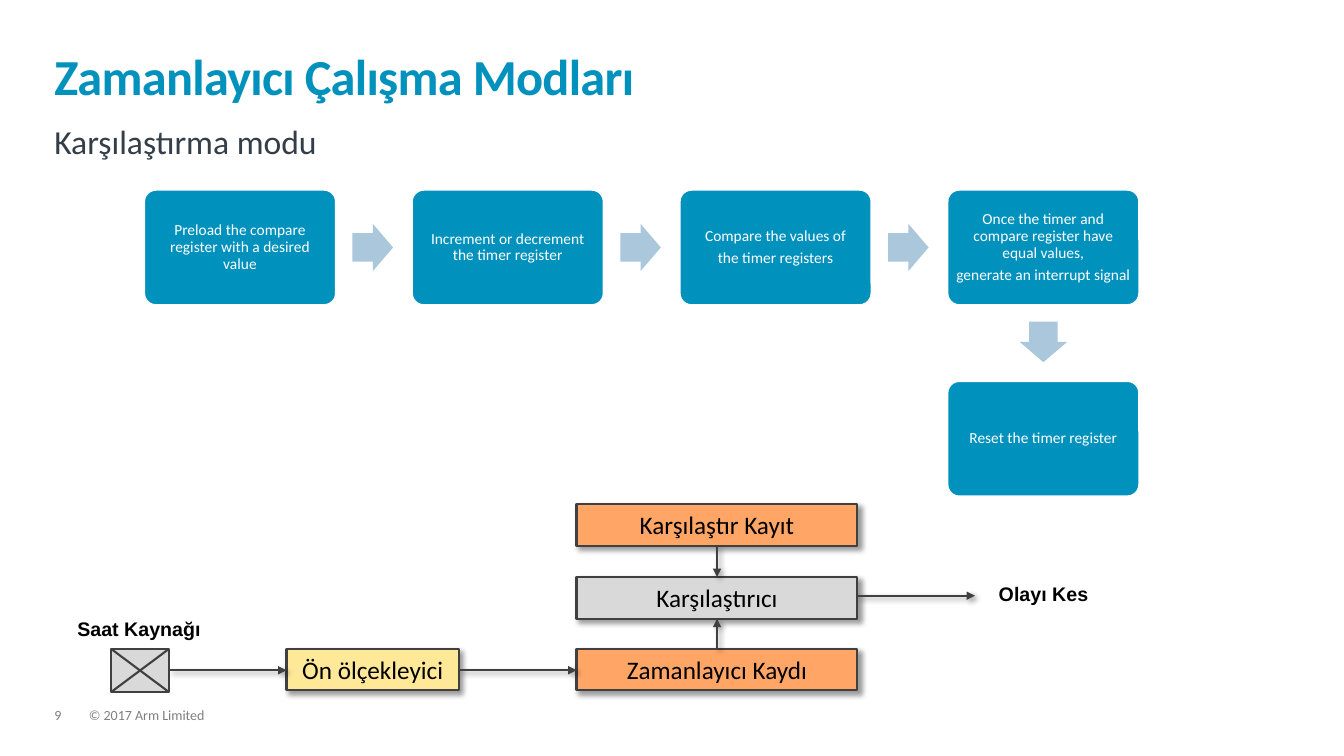
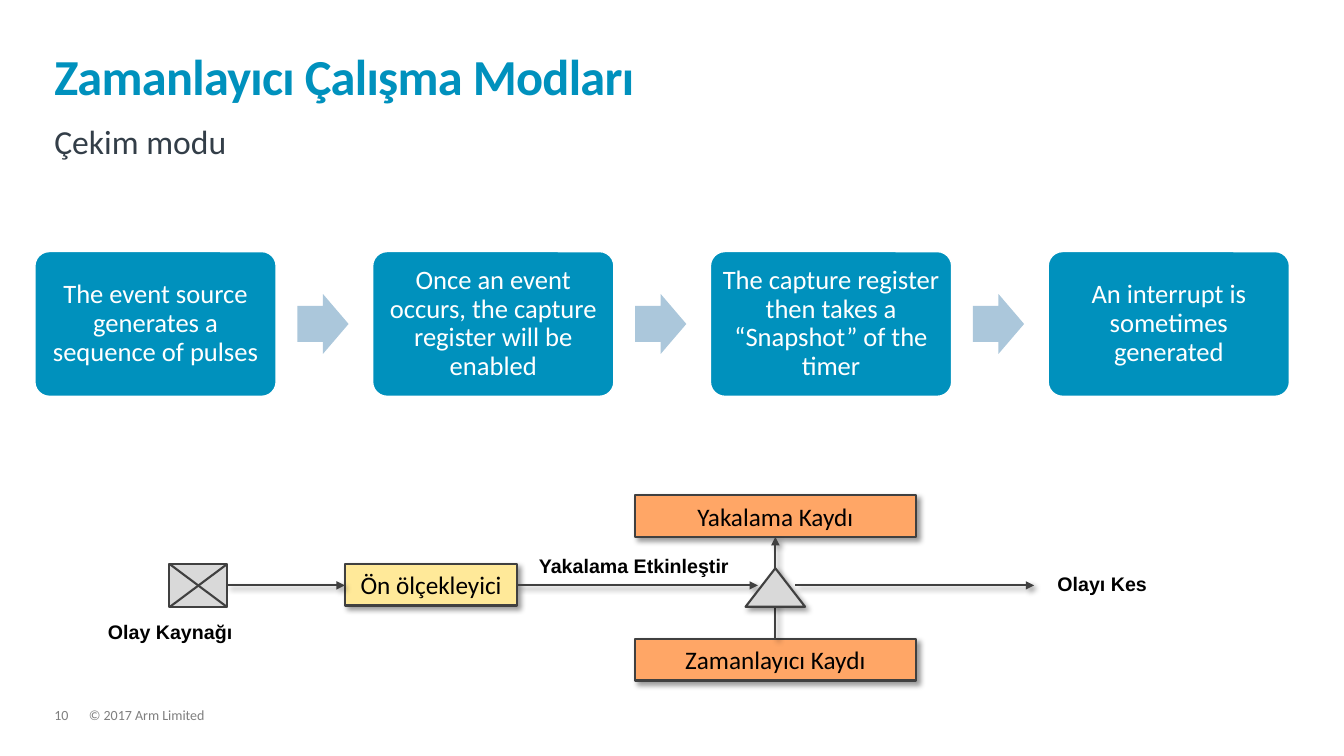
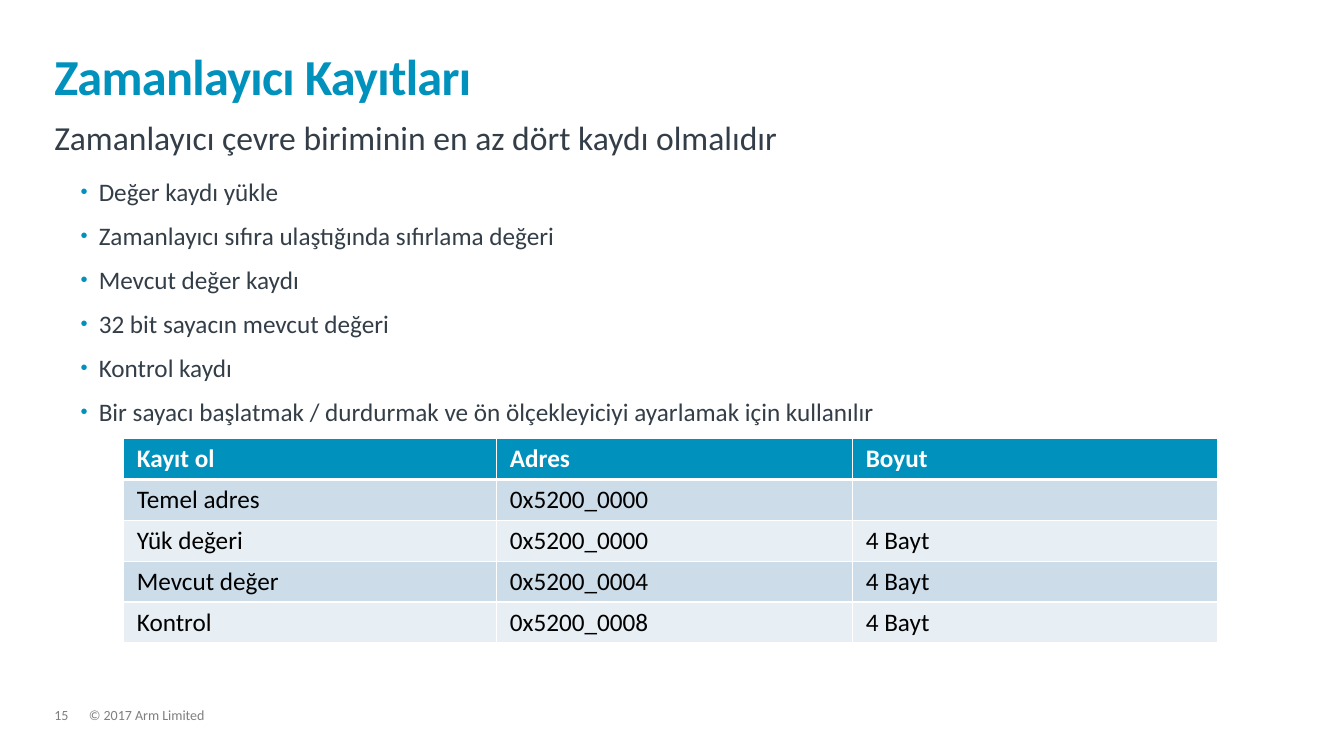
from dataclasses import dataclass

from lxml.etree import SubElement
from pptx import Presentation
from pptx.dml.color import RGBColor
from pptx.enum.shapes import MSO_CONNECTOR, MSO_SHAPE
from pptx.enum.text import MSO_ANCHOR, PP_ALIGN
from pptx.oxml.ns import qn
from pptx.util import Cm, Pt


@dataclass(frozen=True)
class Theme:
    # Colours
    blue: str = "0091BD"
    pale_blue: str = "ABC7DB"
    band_dark: str = "CCDCE8"
    band_light: str = "E7EEF4"
    slate: str = "333E48"
    muted: str = "7F7F7F"
    outline: str = "404040"
    orange: str = "FFA666"
    yellow: str = "FFE999"
    gray: str = "D9D9D9"
    white: str = "FFFFFF"
    black: str = "000000"
    # Type
    font: str = "Calibri"
    label_font: str = "Arial"
    title_size: float = 36
    lead_size: float = 24
    text_size: float = 18
    label_size: float = 14
    footer_size: float = 10


THEME = Theme()
LEFT, CONTENT_WIDTH = 1.37, 31.06
SOURCE_WIDTH, SOURCE_HEIGHT = 1.46, 1.09
BAR_HEIGHT, PRESCALER_WIDTH, REGISTER_WIDTH = 1.05, 4.35, 7.08
PRESCALER_OFFSET, REGISTER_OFFSET, WIRE_OFFSET = 4.42, 11.73, 0.54


def rgb(value):
    return RGBColor.from_string(value)


def add_node(parent, tag, **attributes):
    return SubElement(parent, qn(tag), attributes)


def add_soft_shadow(effects):
    shadow = add_node(effects, "a:outerShdw", blurRad="50800", dist="38100",
                      dir="2700000", algn="tl", rotWithShape="0")
    color = add_node(shadow, "a:srgbClr", val=THEME.black)
    add_node(color, "a:alpha", val="40000")


class SlideBuilder:
    def __init__(self, deck):
        self.deck = deck
        self.page = None

    def start(self, number, title):
        """Open a page with its title and footer."""
        self.page = self.deck.slides.add_slide(self.deck.slide_layouts[6])
        for left, width, text in ((2.24, 23.2, "© 2017 Arm Limited"),
                                  (LEFT, 0.86, str(number))):
            self.text(left, 17.86, width, 0.38, [text], THEME.footer_size,
                      THEME.muted, spacing=0.9)
        box = self.text(LEFT, 0.81, CONTENT_WIDTH, 1.85, [title], THEME.title_size,
                        THEME.blue, bold=True, spacing=0.85)
        box.text_frame.vertical_anchor = MSO_ANCHOR.BOTTOM
        span = box.text_frame.paragraphs[0].runs[0]
        span.font._rPr.set("spc", "-50")

    # Text
    def style(self, para, size, color, bold=False, font=THEME.font,
              align=PP_ALIGN.LEFT, spacing=1.0, after=0):
        para.alignment = align
        para.line_spacing = spacing
        para.space_after = Pt(after)
        para.font.name = font
        para.font.size = Pt(size)
        para.font.bold = bold
        para.font.color.rgb = rgb(color)

    def fill_frame(self, frame, lines, size, color, margins=(0, 0), **style):
        frame.word_wrap = True
        frame.margin_left = frame.margin_right = Cm(margins[0])
        frame.margin_top = frame.margin_bottom = Cm(margins[1])
        for index, line in enumerate(lines):
            para = frame.add_paragraph() if index else frame.paragraphs[0]
            para.text = line
            self.style(para, size, color, **style)

    def text(self, left, top, width, height, lines, size, color, **style):
        box = self.page.shapes.add_textbox(Cm(left), Cm(top), Cm(width), Cm(height))
        self.fill_frame(box.text_frame, lines, size, color, **style)
        return box

    def label(self, left, top, text, align=PP_ALIGN.LEFT):
        self.text(left, top, 5.75, 0.86, [text], THEME.label_size, THEME.black,
                  margins=(0.25, 0.13), font=THEME.label_font, bold=True, align=align)

    def body(self, top, lead, bullets=()):
        box = self.text(LEFT, top, CONTENT_WIDTH, 8, [lead], THEME.lead_size,
                        THEME.slate, spacing=0.9, after=16)
        for bullet in bullets:
            para = box.text_frame.add_paragraph()
            para.text = bullet
            props = para._p.get_or_add_pPr()
            props.set("marL", str(Cm(1.12)))
            props.set("indent", str(Cm(-0.46)))
            add_node(add_node(props, "a:buClr"), "a:srgbClr", val=THEME.blue)
            add_node(props, "a:buSzPct", val="80000")
            add_node(props, "a:buFont", typeface=THEME.label_font)
            add_node(props, "a:buChar", char="•")
            self.style(para, THEME.text_size, THEME.slate, spacing=0.9, after=12)

    # Shapes
    def shape(self, kind, left, top, width, height, fill, line=None,
              line_width=1.5, shadow=False):
        shape = self.page.shapes.add_shape(kind, Cm(left), Cm(top), Cm(width), Cm(height))
        shape.fill.solid()
        shape.fill.fore_color.rgb = rgb(fill)
        if line:
            shape.line.color.rgb = rgb(line)
            shape.line.width = Pt(line_width)
        else:
            shape.line.fill.background()
        shape.shadow.inherit = False
        if shadow:
            add_soft_shadow(shape._element.spPr.find(qn("a:effectLst")))
        return shape

    def bar(self, left, top, width, text, fill):
        bar = self.shape(MSO_SHAPE.RECTANGLE, left, top, width, BAR_HEIGHT, fill,
                         THEME.outline, shadow=True)
        self.fill_frame(bar.text_frame, [text], THEME.text_size, THEME.black,
                        align=PP_ALIGN.CENTER)
        bar.text_frame.word_wrap = False
        bar.text_frame.vertical_anchor = MSO_ANCHOR.MIDDLE

    def line(self, start, end, arrow=True):
        """Draw a wire; signal wires carry an arrowhead and a shadow."""
        wire = self.page.shapes.add_connector(
            MSO_CONNECTOR.STRAIGHT, *(Cm(value) for value in (*start, *end)))
        wire.line.color.rgb = rgb(THEME.outline)
        wire.line.width = Pt(1.5)
        effects = add_node(wire._element.spPr, "a:effectLst")
        if arrow:
            add_node(wire.line._get_or_add_ln(), "a:tailEnd", type="triangle")
            add_soft_shadow(effects)

    # Process flow: every measure follows from the step width
    def step(self, left, top, width, lines, size):
        box = self.shape(MSO_SHAPE.ROUNDED_RECTANGLE, left, top, width, 0.6 * width,
                         THEME.blue, THEME.white, 1)
        box.adjustments[0] = 0.1
        inset = 0.026 * width
        self.fill_frame(box.text_frame, lines, size, THEME.white, (inset, inset),
                        align=PP_ALIGN.CENTER, spacing=0.9, after=0.35 * size)
        box.text_frame.vertical_anchor = MSO_ANCHOR.MIDDLE

    def flow_arrow(self, center_x, center_y, step_width, rotation=0):
        width, height = 0.212 * step_width, 0.248 * step_width
        arrow = self.shape(MSO_SHAPE.RIGHT_ARROW, center_x - width / 2,
                           center_y - height / 2, width, height, THEME.pale_blue)
        arrow.adjustments[0], arrow.adjustments[1] = 0.6, 0.5
        arrow.rotation = rotation

    def flow(self, left, top, width, steps, size, last=None):
        for index, lines in enumerate(steps):
            x = left + index * 1.4 * width
            self.step(x, top, width, lines, size)
            if index < len(steps) - 1:
                self.flow_arrow(x + 1.194 * width, top + 0.3 * width, width)
        if last:
            self.flow_arrow(x + 0.5 * width, top + 0.794 * width, width, 90)
            self.step(x, top + width, width, last, size)

    # Block diagram
    def input_stage(self, left, top):
        """Draw the crossed source box feeding the prescaler."""
        right, bottom = left + SOURCE_WIDTH, top + SOURCE_HEIGHT
        self.shape(MSO_SHAPE.RECTANGLE, left, top, SOURCE_WIDTH, SOURCE_HEIGHT,
                   THEME.gray, THEME.outline)
        self.line((left, top), (right, bottom), arrow=False)
        self.line((right, top), (left, bottom), arrow=False)
        prescaler = left + PRESCALER_OFFSET
        self.bar(prescaler, top, PRESCALER_WIDTH, "Ön ölçekleyici", THEME.yellow)
        wire_y = top + WIRE_OFFSET
        self.line((right, wire_y), (prescaler, wire_y))
        return prescaler + PRESCALER_WIDTH, wire_y

    # Table
    def table(self, left, top, widths, row_height, rows):
        frame = self.page.shapes.add_table(
            len(rows), len(widths), Cm(left), Cm(top), Cm(sum(widths)),
            Cm(row_height * len(rows)))
        table = frame.table
        table.horz_banding = False
        for column, width in zip(table.columns, widths):
            column.width = Cm(width)
        for row_index, values in enumerate(rows):
            table.rows[row_index].height = Cm(row_height)
            header = row_index == 0
            band = THEME.band_dark if row_index % 2 else THEME.band_light
            for column_index, value in enumerate(values):
                cell = table.cell(row_index, column_index)
                self.cell_borders(cell, row_index)
                cell.fill.solid()
                cell.fill.fore_color.rgb = rgb(THEME.blue if header else band)
                cell.margin_left = cell.margin_right = Cm(0.33)
                cell.margin_top = cell.margin_bottom = Cm(0.13)
                if column_index == 0 and not header:
                    cell.vertical_anchor = MSO_ANCHOR.MIDDLE
                cell.text = value
                self.style(cell.text_frame.paragraphs[0], THEME.text_size,
                           THEME.white if header else THEME.black, bold=header)

    def cell_borders(self, cell, row_index):
        heavy = {(0, "B"), (1, "T")}
        for side in "LRTB":
            weight = 3 if (row_index, side) in heavy else 1
            border = add_node(cell._tc.get_or_add_tcPr(), f"a:ln{side}",
                              w=str(Pt(weight)))
            fill = add_node(border, "a:solidFill")
            add_node(fill, "a:srgbClr", val=THEME.white)


def compare_page(slides):
    slides.start(9, "Zamanlayıcı Çalışma Modları")
    slides.body(3.15, "Karşılaştırma modu")
    slides.flow(3.64, 4.79, 4.82, [
        ["Preload the compare register with a desired value"],
        ["Increment or decrement the timer register"],
        ["Compare the values of", "the timer registers"],
        ["Once the timer and compare register have equal values,",
         "generate an interrupt signal"],
    ], 11, last=["Reset the timer register"])

    # Timer and compare registers feed the comparator
    left, top = 2.8, 16.35
    compare_top, comparator_top = 12.7, 14.54
    register = left + REGISTER_OFFSET
    center = register + REGISTER_WIDTH / 2
    for bar_top, text, fill in (
            (top, "Zamanlayıcı Kaydı", THEME.orange),
            (compare_top, "Karşılaştır Kayıt", THEME.orange),
            (comparator_top, "Karşılaştırıcı", THEME.gray)):
        slides.bar(register, bar_top, REGISTER_WIDTH, text, fill)
    prescaler_end, wire_y = slides.input_stage(left, top)
    slides.line((center, top), (center, comparator_top + BAR_HEIGHT))
    slides.line((center, compare_top + BAR_HEIGHT), (center, comparator_top))
    slides.line((prescaler_end, wire_y), (register, wire_y))
    slides.line((register + REGISTER_WIDTH, 15.01), (24.57, 15.01))
    slides.label(24.92, 14.53, "Olayı Kes")
    slides.label(1.7, 15.42, "Saat Kaynağı")


def capture_page(slides):
    slides.start(10, "Zamanlayıcı Çalışma Modları")
    slides.body(3.15, "Çekim modu")
    slides.flow(0.88, 6.34, 6.08, [
        ["The event source generates a sequence of pulses"],
        ["Once an event occurs, the capture register will be enabled"],
        ["The capture register then takes a “Snapshot” of the timer"],
        ["An interrupt is sometimes generated"],
    ], 19)

    # A gate lets the timer value into the capture register
    left, top = 4.27, 14.21
    capture_top, timer_top = 12.48, 16.1
    register = left + REGISTER_OFFSET
    center = register + REGISTER_WIDTH / 2
    slides.bar(register, timer_top, REGISTER_WIDTH, "Zamanlayıcı Kaydı", THEME.orange)
    slides.bar(register, capture_top, REGISTER_WIDTH, "Yakalama Kaydı", THEME.orange)
    prescaler_end, wire_y = slides.input_stage(left, top)
    slides.line((center, timer_top), (center, capture_top + BAR_HEIGHT))
    slides.line((prescaler_end, wire_y), (19.1, wire_y))
    slides.line((20.03, wire_y), (26.06, wire_y))
    slides.shape(MSO_SHAPE.ISOSCELES_TRIANGLE, center - 0.75, 14.32, 1.5, 0.97,
                 THEME.gray, THEME.outline, shadow=True)
    slides.label(26.4, 14.27, "Olayı Kes")
    slides.label(2.47, 15.5, "Olay Kaynağı")
    slides.label(13.1, 13.82, "Yakalama Etkinleştir", PP_ALIGN.CENTER)


def register_page(slides):
    slides.start(15, "Zamanlayıcı Kayıtları")
    slides.body(3.05, "Zamanlayıcı çevre biriminin en az dört kaydı olmalıdır", [
        "Değer kaydı yükle",
        "Zamanlayıcı sıfıra ulaştığında sıfırlama değeri",
        "Mevcut değer kaydı",
        "32 bit sayacın mevcut değeri",
        "Kontrol kaydı",
        "Bir sayacı başlatmak / durdurmak ve ön ölçekleyiciyi ayarlamak için kullanılır",
    ])
    slides.table(3.12, 11.05, (9.4, 8.97, 9.19), 1.03, [
        ("Kayıt ol", "Adres", "Boyut"),
        ("Temel adres", "0x5200_0000", ""),
        ("Yük değeri", "0x5200_0000", "4 Bayt"),
        ("Mevcut değer", "0x5200_0004", "4 Bayt"),
        ("Kontrol", "0x5200_0008", "4 Bayt"),
    ])


def main():
    deck = Presentation()
    deck.slide_width, deck.slide_height = Cm(33.87), Cm(19.05)
    slides = SlideBuilder(deck)
    for build in (compare_page, capture_page, register_page):
        build(slides)
    deck.save("out.pptx")


if __name__ == "__main__":
    main()
